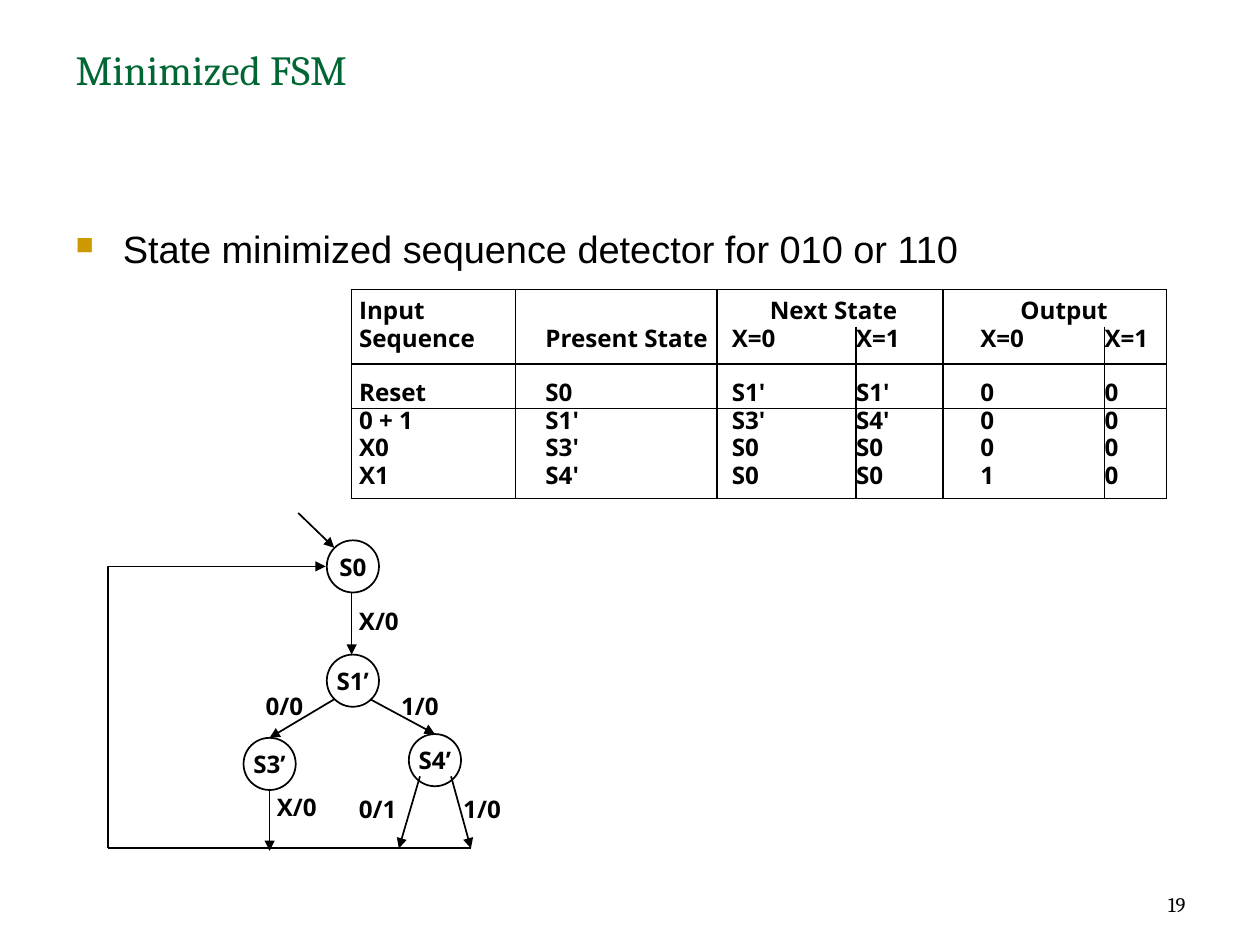
"""Build a slide with the state table and state diagram of a minimized FSM."""
from lxml import etree
from pptx import Presentation
from pptx.dml.color import RGBColor
from pptx.enum.shapes import MSO_CONNECTOR, MSO_SHAPE
from pptx.enum.text import MSO_ANCHOR, PP_ALIGN
from pptx.oxml.ns import qn
from pptx.util import Inches, Pt

STRAIGHT, ELBOW = MSO_CONNECTOR.STRAIGHT, MSO_CONNECTOR.ELBOW
OVAL = MSO_SHAPE.OVAL
LEFT, CENTER, RIGHT = PP_ALIGN.LEFT, PP_ALIGN.CENTER, PP_ALIGN.RIGHT
TOP, MIDDLE, BOTTOM = MSO_ANCHOR.TOP, MSO_ANCHOR.MIDDLE, MSO_ANCHOR.BOTTOM
GRID = Inches(0.1)
COLORS = {"ink": "000000", "title": "006633", "bullet": "CC9900"}
FORMATS = {
    "title": {"name": "Cambria", "size": Pt(24), "bold": False},
    "body": {"name": "Arial", "size": Pt(22), "bold": False},
    "label": {"name": "Open Sans", "size": Pt(14), "bold": True},
    "number": {"name": "Cambria", "size": Pt(12), "bold": False},
}
NO_STYLE = "{2D5ABB26-0587-4C30-8999-92F81FD0307C}"


def write(frame, text, style, color="ink", align=LEFT):
    """Put one styled paragraph into a text frame."""
    para = frame.paragraphs[0]
    para.alignment = align
    span = para.add_run()
    span.text = text
    for key, value in FORMATS[style].items():
        setattr(span.font, key, value)
    span.font.color.rgb = RGBColor.from_string(COLORS[color])
    return para


def connect(kind, ends, arrow=True):
    """Draw a thin line between two grid points."""
    line = page.shapes.add_connector(kind, *[round(end * GRID) for end in ends])
    line.line.color.rgb = RGBColor.from_string(COLORS["ink"])
    line.line.width = Pt(1)
    if arrow:
        etree.SubElement(line.line._get_or_add_ln(), qn("a:tailEnd"), type="triangle")
    etree.SubElement(line._element.spPr, qn("a:effectLst"))
    return line


deck = Presentation()
deck.slide_width, deck.slide_height = Inches(10.14), Inches(7.6)
page = deck.slides.add_slide(deck.slide_layouts[6])

texts = [
    ("Minimized FSM", (5.1, 3.1, 91.2, 12.6), "title", "title", LEFT, TOP),
    ("State minimized sequence detector for 010 or 110", (5.1, 17.7, 91.2, 5.2),
     "body", "ink", LEFT, TOP),
    ("19", (72.7, 69.2, 23.7, 5.1), "number", "ink", RIGHT, BOTTOM),
]
labels = [("X/0", 27.9, 48.3), ("0/0", 20.4, 55.2), ("1/0", 31.3, 55.2),
          ("X/0", 21.3, 63.3), ("0/1", 27.9, 63.5), ("1/0", 36.3, 63.5)]
texts += [(text, (left, top, 5.7, 3.3), "label", "ink", LEFT, TOP)
          for text, left, top in labels]
for text, bounds, style, color, align, anchor in texts:
    box = page.shapes.add_textbox(*[round(length * GRID) for length in bounds])
    box.text_frame.word_wrap = style != "label"
    box.text_frame.vertical_anchor = anchor
    para = write(box.text_frame, text, style, color, align)
    if style == "body":
        para.space_before = Pt(4.4)
        props = para._p.get_or_add_pPr()
        props.set("marL", str(Inches(0.38)))
        props.set("indent", str(-Inches(0.38)))
        bullet_color = etree.SubElement(props, qn("a:buClr"))
        etree.SubElement(bullet_color, qn("a:srgbClr"), val=COLORS["bullet"])
        etree.SubElement(props, qn("a:buSzPct"), val="65000")
        etree.SubElement(props, qn("a:buChar"), char="■")

rows = [
    ("Input", "", "Next State", "", "Output", ""),
    ("Sequence", "Present State", "X=0", "X=1", "X=0", "X=1"),
    ("Reset", "S0", "S1'", "S1'", "0", "0"),
    ("0 + 1", "S1'", "S3'", "S4'", "0", "0"),
    ("X0", "S3'", "S0", "S0", "0", "0"),
    ("X1", "S4'", "S0", "S0", "1", "0"),
]
widths = (13.2, 16.2, 11.2, 7, 13, 5)
heights = (2.7, 3, 3.6, 2.2, 2.2, 2.8)
insets = (0.6, 2.4, 1.2, 0, 3, 0)
anchors = (BOTTOM, TOP, BOTTOM, TOP, TOP, TOP)
bounds = (28.3, 23.3, sum(widths), sum(heights))
holder = page.shapes.add_table(len(rows), len(widths),
                               *[round(length * GRID) for length in bounds])
table = holder.table
table.first_row = table.horz_banding = False
table._tbl.tblPr.find(qn("a:tableStyleId")).text = NO_STYLE
for column, width in zip(table.columns, widths):
    column.width = round(width * GRID)
for row, height in zip(table.rows, heights):
    row.height = round(height * GRID)
for first in (2, 4):
    table.cell(0, first).merge(table.cell(0, first + 1))
for r, values in enumerate(rows):
    for c, value in enumerate(values):
        cell = table.cell(r, c)
        heading = r == 0 and c > 1
        cell.margin_left = round(insets[c] * GRID / (2 if heading else 1))
        cell.margin_right = cell.margin_top = cell.margin_bottom = 0
        cell.vertical_anchor = anchors[r]
        para = write(cell.text_frame, value, "label", align=CENTER if heading else LEFT)
        para.line_spacing = Pt(16)
        edges = {"lnL": c in (0, 1, 2, 4), "lnR": r == 0 or c in (0, 1, 3, 5),
                 "lnT": r in (0, 2), "lnB": r in (1, 5)}
        for edge, shown in edges.items():
            if shown:
                border = etree.SubElement(cell._tc.get_or_add_tcPr(), qn("a:" + edge),
                                          w=str(Pt(1)))
                fill = etree.SubElement(border, qn("a:solidFill"))
                etree.SubElement(fill, qn("a:srgbClr"), val=COLORS["ink"])
        cell.fill.background()

states = [("S0", 26.3, 43.5), ("S1’", 26.3, 52.7), ("S3’", 19.6, 59.4), ("S4’", 32.9, 59.1)]
for name, left, top in states:
    state = page.shapes.add_shape(
        OVAL, *[round(length * GRID) for length in (left, top, 4.2, 4.2)])
    state.shadow.inherit = False
    state.fill.background()
    state.line.color.rgb = RGBColor.from_string(COLORS["ink"])
    state.line.width = Pt(1)
    state.text_frame.word_wrap = False
    state.text_frame.vertical_anchor = MIDDLE
    write(state.text_frame, name, "label", align=CENTER)

transitions = [
    (24, 41.3, 26.9, 44.1), (28.3, 47.7, 28.3, 52.7),
    (26.9, 56.3, 21.7, 59.4), (29.8, 56.3, 35, 59.1),
    (21.7, 63.5, 21.7, 68.5), (33.8, 62.5, 32.1, 68.3), (36.3, 62.5, 37.9, 68.3),
]
for ends in transitions:
    connect(STRAIGHT, ends)
connect(STRAIGHT, (37.9, 68.3, 8.7, 68.3), arrow=False)
back = connect(ELBOW, (6.1, 48.2, 28.8, 65.7))
back._element.spPr.find(qn("a:xfrm")).set("rot", str(270 * 60000))
back._element.spPr.find(qn("a:prstGeom")).set("prst", "bentConnector2")

deck.save("out.pptx")
